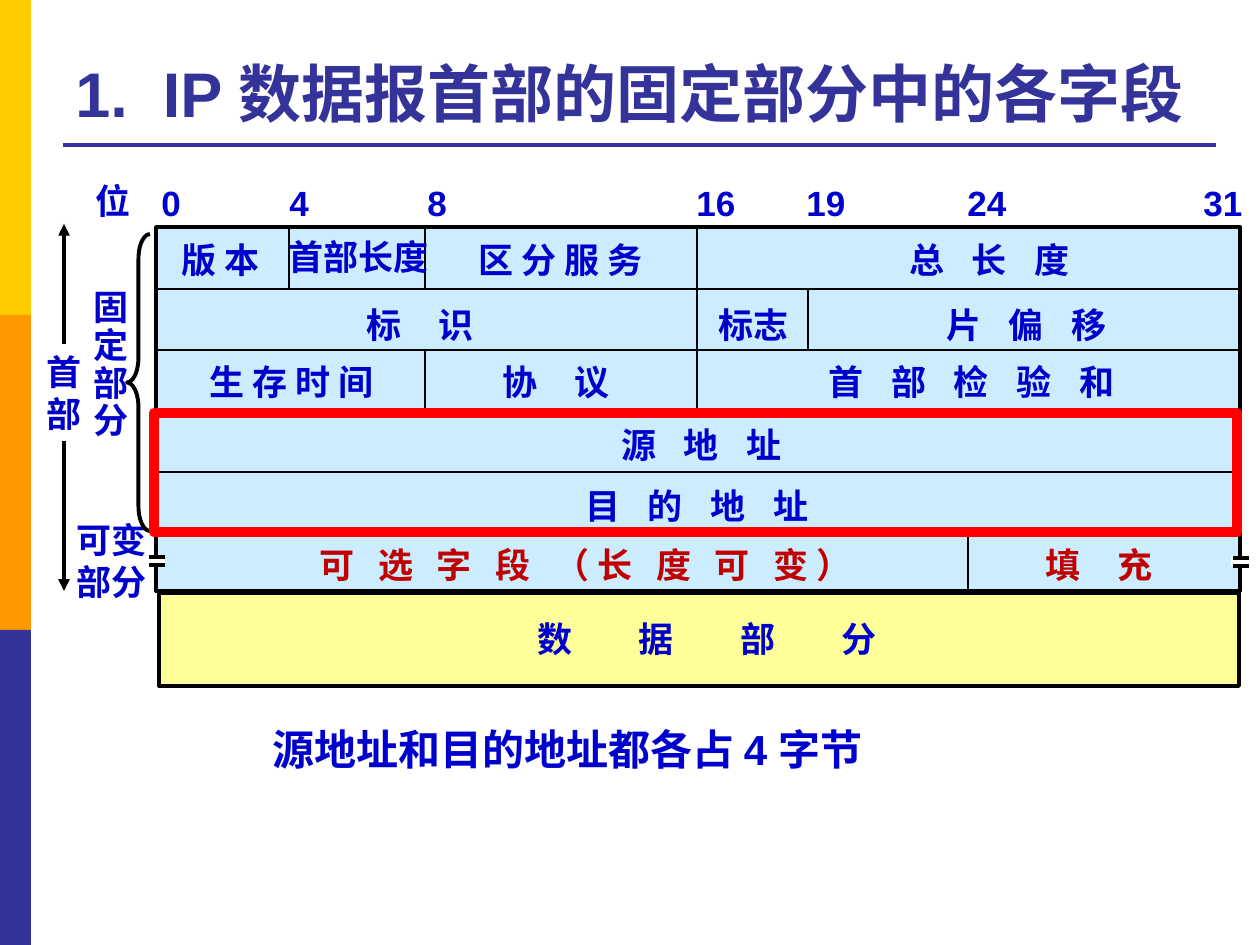
from dataclasses import dataclass

from lxml import etree
from pptx import Presentation
from pptx import util as u
from pptx.dml.color import RGBColor
from pptx.enum import shapes, text
from pptx.oxml.ns import qn


@dataclass(frozen=True)
class Theme:
    font: str = "Arial"
    title: str = "333399"
    label: str = "0000CC"
    option: str = "C00000"
    ink: str = "000000"
    paper: str = "FFFFFF"
    header: str = "CCECFF"
    payload: str = "FFFF99"
    accent: str = "FF0000"
    bands: tuple = ("FFCC00", "FF9900", "333399")
    title_size: int = 36
    note_size: int = 24
    label_size: int = 20


THEME = Theme()
PX = u.Inches(1) / 126


def px(*lengths):
    return [round(length * PX) for length in lengths]


def add_box(slide, x, y, w, h, fill=None, line=None, width=2,
            kind=shapes.MSO_SHAPE.RECTANGLE):
    box = slide.shapes.add_shape(kind, *px(x, y, w, h))
    box.shadow.inherit = False
    if fill:
        box.fill.solid()
        box.fill.fore_color.rgb = RGBColor.from_string(fill)
    else:
        box.fill.background()
    if line:
        box.line.color.rgb = RGBColor.from_string(line)
        box.line.width = u.Pt(width)
    else:
        box.line.fill.background()
    return box


def add_rule(slide, x1, y1, x2, y2, color=THEME.ink, width=1):
    rule = slide.shapes.add_connector(
        shapes.MSO_CONNECTOR.STRAIGHT, *px(x1, y1, x2, y2))
    rule.line.color.rgb = RGBColor.from_string(color)
    rule.line.width = u.Pt(width)
    etree.SubElement(rule._element.spPr, qn("a:effectLst"))
    return rule


def style_run(run, size, color, tracking=0):
    run.font.name = THEME.font
    run.font.size = u.Pt(size)
    run.font.bold = True
    run.font.color.rgb = RGBColor.from_string(color)
    if tracking:
        run._r.get_or_add_rPr().set("spc", str(round(tracking * 100)))


def write(frame, words, size=THEME.label_size, color=THEME.label, tracking=0,
          wrap=False, align=text.PP_ALIGN.LEFT, leading=None):
    frame.text = words
    frame.word_wrap = wrap
    frame.vertical_anchor = text.MSO_ANCHOR.TOP
    frame.auto_size = text.MSO_AUTO_SIZE.SHAPE_TO_FIT_TEXT
    for paragraph in frame.paragraphs:
        paragraph.alignment = align
        if leading:
            paragraph.line_spacing = leading
        if tracking:
            paragraph.runs[0].text = paragraph.text[:-1]
            paragraph.add_run().text = words[-1]
            style_run(paragraph.runs[0], size, color, tracking)
            style_run(paragraph.runs[1], size, color)
        else:
            style_run(paragraph.runs[0], size, color)


def add_label(slide, x, y, w, h, words, **style):
    label = slide.shapes.add_textbox(*px(x, y, w, h))
    write(label.text_frame, words, **style)


def side_bands(slide, x, y, w, h):
    for i, color in enumerate(THEME.bands):
        add_box(slide, x, y + i * h, w, h, fill=color)


def title_bar(slide, x, y, w, h):
    add_rule(slide, x, y + h + 9, x + w, y + h + 9, THEME.title, 2.25)
    frame = slide.shapes.add_textbox(*px(x, y, w, h)).text_frame
    frame.word_wrap = True
    frame.vertical_anchor = text.MSO_ANCHOR.BOTTOM
    heading = frame.paragraphs[0]
    for words, tracking in (("1.", 0), (" ", 10),
                            ("IP 数据报首部的固定部分中的各字段", 0)):
        run = heading.add_run()
        run.text = words
        style_run(run, THEME.title_size, THEME.title, tracking)


def break_mark(slide, x, y, w, h):
    add_box(slide, x, y, w, h, fill=THEME.paper)
    for edge in (y + 1, y + h):
        add_rule(slide, x + 2, edge, x + w, edge, width=2)


def header_fields(slide, x, y, w, h):
    add_box(slide, x, y, w, h, THEME.header, THEME.ink)
    edges = [0] + [1 + 61 * row for row in range(1, 6)] + [h]
    for edge in edges[1:-1]:
        add_rule(slide, x, y + edge, x + w, y + edge)
    for dx, first, last in ((133, 0, 1), (269, 0, 1), (269, 2, 3),
                            (541, 0, 3), (652, 1, 2), (812, 5, 6)):
        add_rule(slide, x + dx, y + edges[first], x + dx, y + edges[last])

    for dx, bit in ((-7, 0), (121, 4), (259, 8), (528, 16),
                    (638, 19), (799, 24), (1035, 31)):
        add_label(slide, x + dx, y - 52, 45 if bit < 10 else 64, 54, str(bit))
    add_label(slide, x - 73, y - 54, 60, 54, "位")

    for dx, dy, width, name, tracking in (
            (13, 5, 106, "版 本", 0),
            (120, 2, 168, "首部长度", 0),
            (310, 5, 197, "区 分 服 务", 0),
            (741, 5, 190, "总 长 度", 5.6),
            (198, 70, 135, "标 识", 8.3),
            (550, 70, 96, "标志", 0),
            (778, 70, 190, "片 偏 移", 5.6),
            (41, 127, 197, "生 存 时 间", 0),
            (334, 127, 135, "协 议", 8.3),
            (660, 127, 320, "首 部 检 验 和", 5.6),
            (453, 190, 190, "源 地 址", 5.6),
            (417, 251, 255, "目 的 地 址", 5.6),
            (151, 310, 575, "可 选 字 段 （长 度 可 变）", 4.5),
            (877, 310, 135, "填 充", 8.3)):
        color = THEME.option if dy > edges[5] else THEME.label
        add_label(slide, x + dx, y + dy, width, 54, name,
                  tracking=tracking, color=color)
    break_mark(slide, x - 9, y + 329, 18, 9)
    break_mark(slide, x + w - 9, y + 330, 18, 9)


def data_part(slide, x, y, w, h):
    add_box(slide, x, y, w, h, THEME.payload, THEME.ink, 2.25)
    add_label(slide, x + 366, y + 18, 401, 54, "数 据 部 分",
              tracking=16.7, wrap=True)


def header_extent(slide, x, y, w, h):
    extent = add_rule(slide, x + 30, y, x + 30, y + h, width=2.25)
    line = extent.line._get_or_add_ln()
    for end in ("a:headEnd", "a:tailEnd"):
        etree.SubElement(line, qn(end), type="triangle")
    caption = add_box(slide, x, y + 120, 60, 97, fill=THEME.paper)
    write(caption.text_frame, "首\n部")
    add_label(slide, x + 47, y + 60, 60, 165, "固\n定\n部\n分", leading=0.9)
    add_label(slide, x + 30, y + 288, 96, 97, "可变\n部分")
    brace = add_box(slide, x + w - 23, y + 10, 23, 297, line=THEME.ink,
                    width=2.25, kind=shapes.MSO_SHAPE.LEFT_BRACE)
    brace.adjustments[0] = 1.08


def address_highlight(slide, x, y, w, h):
    add_label(slide, x + 103, y + 304, 621, 64, "源地址和目的地址都各占 4 字节",
              size=THEME.note_size, wrap=True, align=text.PP_ALIGN.CENTER)
    add_box(slide, x, y, w, h, line=THEME.accent, width=6)


def main():
    deck = Presentation()
    deck.slide_width, deck.slide_height = px(1260, 945)
    slide = deck.slides.add_slide(deck.slide_layouts[6])
    side_bands(slide, 0, 0, 31, 315)
    title_bar(slide, 63, 26, 1153, 110)
    header_fields(slide, 156, 227, 1084, 364)
    data_part(slide, 159, 593, 1080, 93)
    header_extent(slide, 34, 224, 116, 367)
    address_highlight(slide, 154, 413, 1083, 119)
    deck.save("out.pptx")


if __name__ == "__main__":
    main()
